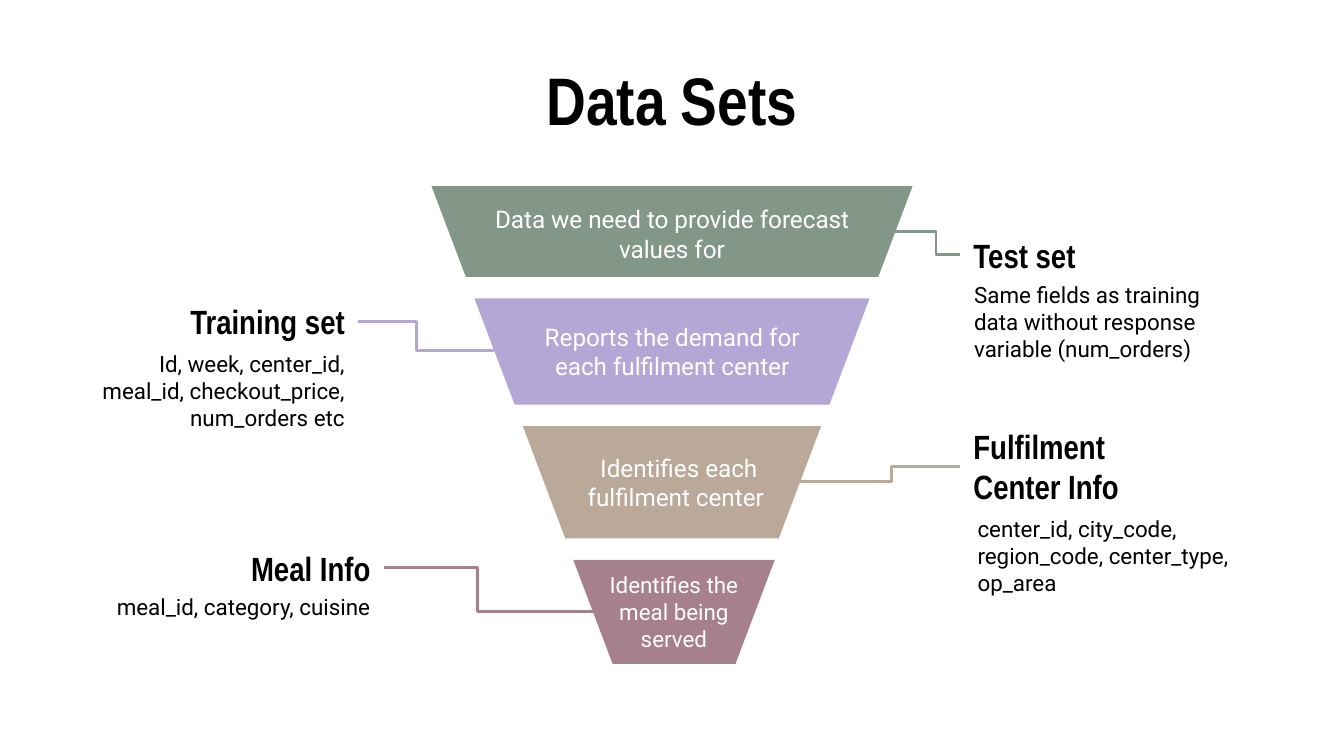
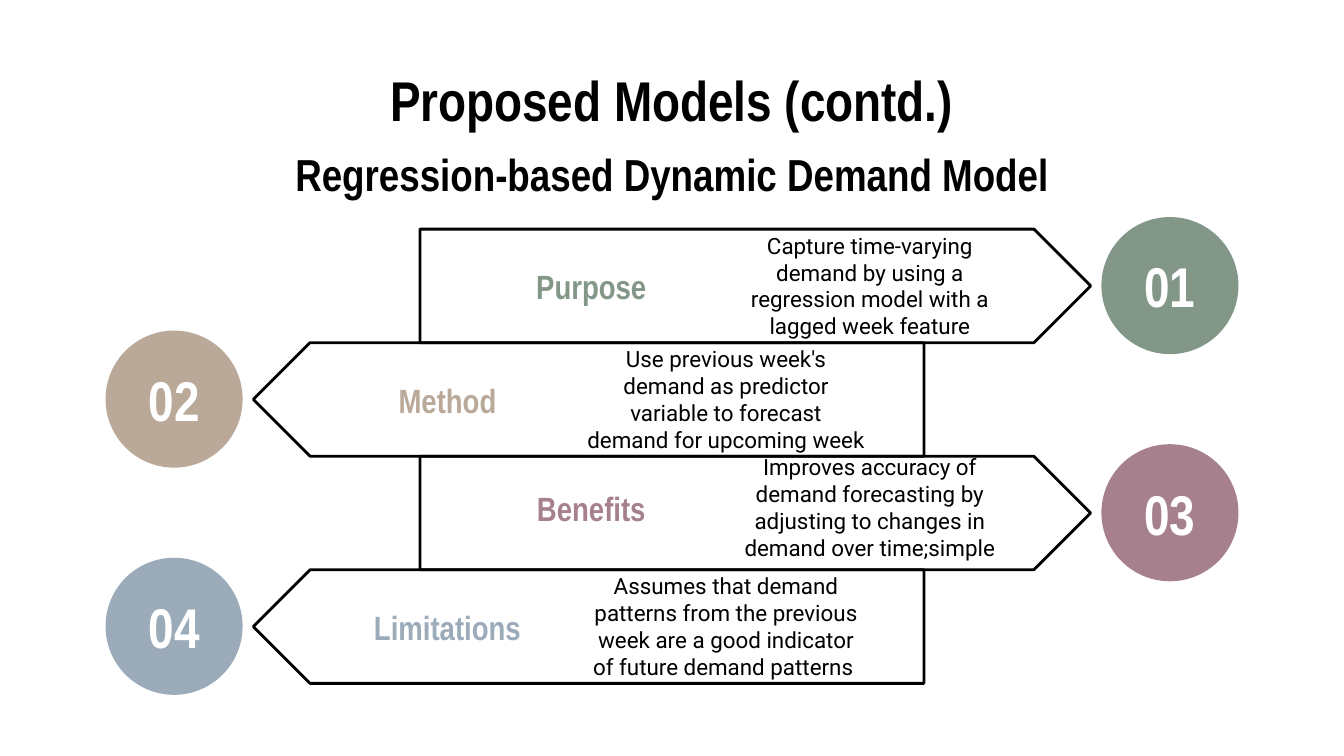
import pptx
import pptx.util
import pptx.dml.color
import pptx.enum.shapes
import pptx.enum.text
import pptx.oxml.ns
import lxml.etree

RGB = pptx.dml.color.RGBColor
SHAPE = pptx.enum.shapes.MSO_SHAPE
ALIGN = pptx.enum.text.PP_ALIGN
MIDDLE = pptx.enum.text.MSO_ANCHOR.MIDDLE

# Shared look
SCALE = 4572  # 200 px to the inch
BLACK = RGB(0x00, 0x00, 0x00)
WHITE = RGB(0xFF, 0xFF, 0xFF)
GREEN = RGB(0x83, 0x97, 0x88)
LILAC = RGB(0xB4, 0xA7, 0xD6)
SAND = RGB(0xBA, 0xA8, 0x98)
ROSE = RGB(0xA6, 0x80, 0x8C)
BLUE = RGB(0x9B, 0xAB, 0xB9)
HEAD = "Arial Narrow"
BODY = "Roboto"
STROKE = 1.5

# Funnel bands: box, colour, text box, size, text
BANDS = [
    ((642, 277, 716, 135), GREEN, (706, 284, 588, 128), 13,
     "Data we need to provide forecast values for"),
    ((706, 444, 588, 158), LILAC, (758, 450, 484, 146), 13,
     "Reports the demand for each fulfilment center"),
    ((778, 634, 444, 167), SAND, (842, 645, 336, 146), 13,
     "Identifies each fulfilment center "),
    ((853, 833, 300, 155), ROSE, (880, 854, 246, 112), 12,
     "Identifies the meal being served"),
]

# Notes beside the funnel: on left, heading, its box, text, its box,
# colour, link point on the funnel, bend
NOTES = [
    (False, "Test set", (1429, 345, 248, 68),
     "Same fields as training data without response variable (num_orders)",
     (1430, 400, 426, 156), GREEN, (1332, 345), 0.37),
    (True, "Training set", (196, 444, 337, 68),
     "Id, week, center_id, meal_id, checkout_price, num_orders etc",
     (107, 512, 426, 138), LILAC, (736, 522), 0.57),
    (False, "Fulfilment Center Info", (1429, 660, 306, 68),
     "center_id, city_code, region_code, center_type, op_area",
     (1435, 758, 426, 138), SAND, (1190, 717), 0.43),
    (True, "Meal Info", (323, 811, 248, 68),
     "meal_id, category, cuisine",
     (145, 833, 426, 138), ROSE, (882, 910), 0.55),
]

# Model arrows: heading, colour, text, upward shift of the text
STEPS = [
    ("Purpose", GREEN,
     "Capture time-varying demand by using a regression model "
     "with a lagged week feature", 0),
    ("Method", SAND,
     "Use previous week's demand as predictor variable to forecast "
     "demand for upcoming week", 0),
    ("Benefits", ROSE,
     "Improves accuracy of demand forecasting by adjusting to changes "
     "in demand over time;simple", 8),
    ("Limitations", BLUE,
     "Assumes that demand patterns from the previous week are a good "
     "indicator of future demand patterns ", 0),
]


def px(*sizes):
    return [pptx.util.Emu(size * SCALE) for size in sizes]


def write(shape, text, font=BODY, size=12, color=BLACK, bold=False,
          align=ALIGN.CENTER):
    frame = shape.text_frame
    frame.word_wrap = True
    frame.vertical_anchor = MIDDLE
    frame.margin_left = frame.margin_right = px(20)[0]
    frame.margin_top = frame.margin_bottom = px(20)[0]
    para = frame.paragraphs[0]
    para.alignment = align
    run = para.add_run()
    run.text = text
    run.font.name = font
    run.font.size = pptx.util.Pt(size)
    run.font.bold = bold
    run.font.color.rgb = color


def label(slide, box, text, **style):
    shape = slide.shapes.add_textbox(*px(*box))
    write(shape, text, **style)
    return shape


def title(slide, text, size, top=91):
    label(slide, (156, top, 1688, 112), text, font=HEAD, size=size, bold=True)


def block(slide, kind, box, fill=None, line=None):
    shape = slide.shapes.add_shape(kind, *px(*box))
    shape.shadow.inherit = False
    if fill is None:
        shape.fill.background()
    else:
        shape.fill.solid()
        shape.fill.fore_color.rgb = fill
    if line is None:
        shape.line.fill.background()
    else:
        shape.line.color.rgb = line
        shape.line.width = pptx.util.Pt(STROKE)
    return shape


def link(slide, head, left, point, color, bend):
    """Join a heading to a point on the funnel with a bent line."""
    x, y = px(*point)
    elbow = pptx.enum.shapes.MSO_CONNECTOR.ELBOW
    line = slide.shapes.add_connector(elbow, x, y, x, y)
    if left:
        line.end_connect(head, 3)
    else:
        line.begin_connect(head, 1)
    line.line.color.rgb = color
    line.line.width = pptx.util.Pt(STROKE)
    qn = pptx.oxml.ns.qn
    props = line._element.spPr
    guides = props.find(qn("a:prstGeom")).find(qn("a:avLst"))
    lxml.etree.SubElement(guides, qn("a:gd"), name="adj1",
                          fmla=f"val {round(bend * 100000)}")
    lxml.etree.SubElement(props, qn("a:effectLst"))


def note(slide, left, name, spot, text, box, color, point, bend):
    align = ALIGN.RIGHT if left else ALIGN.LEFT
    label(slide, box, text, align=align)
    head = label(slide, spot, name, font=HEAD, size=18, bold=True, align=align)
    link(slide, head, left, point, color, bend)


def funnel(slide):
    title(slide, "Data Sets", 36)
    # Bands run from the bottom layer up
    for box, color, *rest in reversed(BANDS):
        band = block(slide, SHAPE.TRAPEZOID, box, fill=color)
        band.adjustments[0] = 0.378
        band.rotation = 180
    for item in NOTES:
        note(slide, *item)
    for box, color, spot, size, text in reversed(BANDS):
        label(slide, spot, text, size=size, color=WHITE)


def models(slide):
    title(slide, "Proposed Models (contd.)", 30)
    title(slide, "Regression-based Dynamic Demand Model", 24, top=202)
    # Arrows point right and left in turn
    rows = [(341 + 169 * i, i % 2 == 1) for i in range(len(STEPS))]
    for top, left in rows:
        arrow = block(slide, SHAPE.PENTAGON,
                      (377 if left else 625, top, 998, 169), line=BLACK)
        if left:
            arrow._element.spPr.xfrm.set("flipH", "1")
    # Headings, texts and numbers
    for i, (name, color, text, lift) in enumerate(STEPS):
        top, left = rows[i]
        x = 479 if left else 693
        label(slide, (x, top + 51 - lift, 374, 68), name,
              font=HEAD, size=18, bold=True, color=color)
        label(slide, (x + 375, top + 37 - lift, 453, 94), text)
        disc = block(slide, SHAPE.OVAL,
                     (157 if left else 1639, top - 18, 204, 204), fill=color)
        write(disc, f"{i + 1:02}", font=HEAD, size=30, bold=True, color=WHITE)


def main():
    deck = pptx.Presentation()
    deck.slide_width, deck.slide_height = px(2000, 1125)
    blank = deck.slide_layouts[6]
    for draw in (funnel, models):
        draw(deck.slides.add_slide(blank))
    deck.save("out.pptx")


if __name__ == "__main__":
    main()
